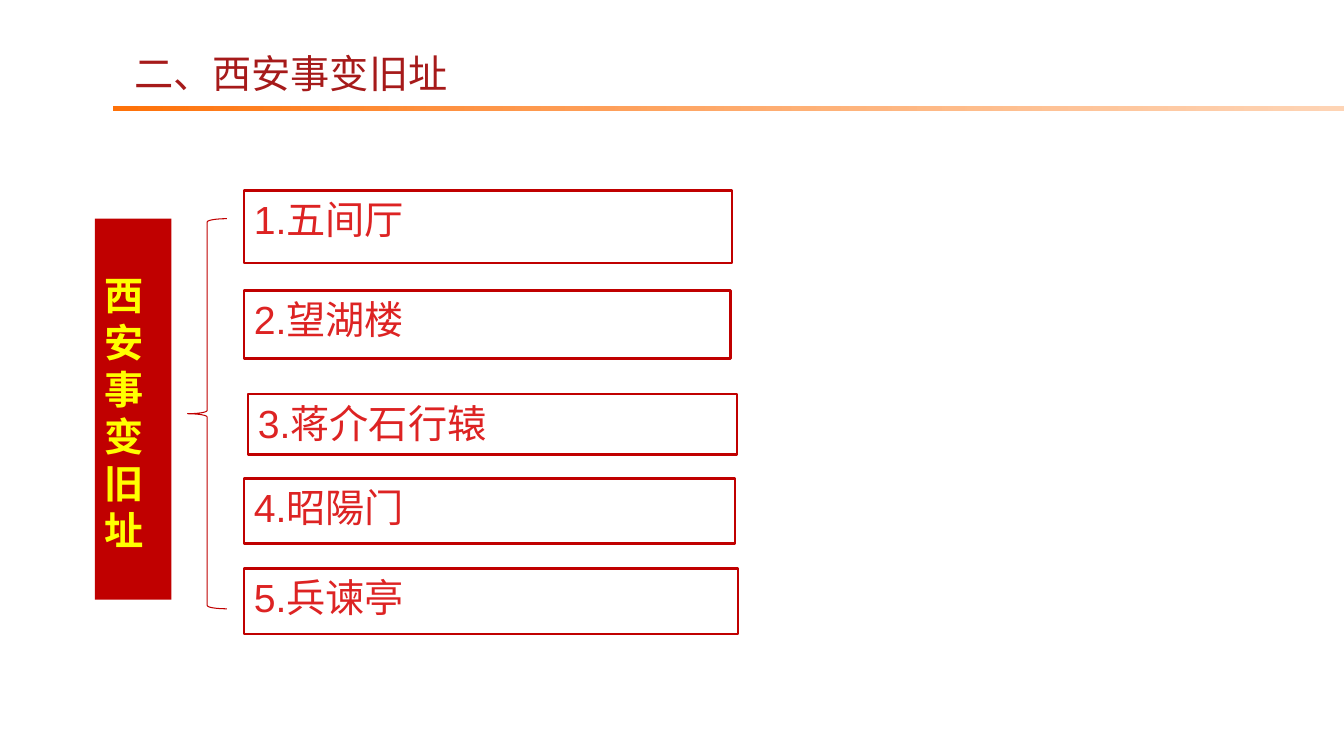
from lxml.etree import SubElement
from pptx import Presentation
from pptx.dml.color import RGBColor
from pptx.enum.shapes import MSO_SHAPE as Preset
from pptx.enum.text import MSO_ANCHOR as Anchor, PP_ALIGN as Align
from pptx.oxml.ns import qn
from pptx.util import Inches, Pt

RED = "C00000"
CJK_FONT = "Noto Sans CJK SC"
SITES = [
    ("五间厅", 2.42, 1.89, 4.84, 0.72),
    ("望湖楼", 2.42, 2.88, 4.83, 0.68),
    ("蒋介石行辕", 2.46, 3.91, 4.85, 0.6),
    ("昭陽门", 2.42, 4.75, 4.87, 0.64),
    ("兵谏亭", 2.42, 5.64, 4.9, 0.65),
]


def color(value):
    """Turn a hex string into a colour."""
    return RGBColor.from_string(value)


def write_text(shape, text, ink, font="Arial", bold=False, anchor=Anchor.TOP, top=0.05):
    """Put one left-aligned paragraph into a shape."""
    frame = shape.text_frame
    frame.word_wrap = True
    frame.vertical_anchor = anchor
    frame.margin_left = frame.margin_right = Inches(0.1)
    frame.margin_top, frame.margin_bottom = Inches(top), Inches(0.05)
    paragraph = frame.paragraphs[0]
    paragraph.alignment = Align.LEFT
    run = paragraph.add_run()
    run.text = text
    run.font.size = Pt(28)
    run.font.bold = bold
    run.font.name = font
    run.font.color.rgb = color(ink)
    SubElement(run.font._element, qn("a:ea"), typeface=CJK_FONT)


def add_preset(slide, preset, left, top, width, height, fill=None, line=None, weight=1):
    """Add a flat preset shape with optional fill and outline."""
    box = [Inches(length) for length in (left, top, width, height)]
    shape = slide.shapes.add_shape(preset, *box)
    shape.shadow.inherit = False
    if fill:
        shape.fill.solid()
        shape.fill.fore_color.rgb = color(fill)
    else:
        shape.fill.background()
    if line:
        shape.line.color.rgb = color(line)
        shape.line.width = Pt(weight)
    else:
        shape.line.fill.background()
    return shape


def add_title(slide, text):
    """Place and format the slide title."""
    title = slide.shapes.title
    title.left, title.top = Inches(1.23), Inches(0.45)
    title.width, title.height = Inches(11.33), Inches(0.54)
    write_text(title, text, "A61A1A", anchor=Anchor.MIDDLE)


def add_title_rule(slide):
    """Draw the fading orange rule below the title."""
    rule = add_preset(slide, Preset.RECTANGLE, 1.13, 1.06, 12.2, 0.04)
    rule.fill.gradient()
    rule.fill.gradient_angle = 0
    start, end = rule.fill.gradient_stops
    start.position, end.position = 0, 1
    start.color.rgb = color("FF7209")
    end.color.rgb = color("FFAA6B")
    end_color = rule._element.spPr.findall(".//" + qn("a:srgbClr"))[-1]
    SubElement(end_color, qn("a:alpha"), val="50000")


def main():
    """Build and save the slide."""
    presentation = Presentation()
    presentation.slide_width = Inches(13.33)
    presentation.slide_height = Inches(7.5)
    slide = presentation.slides.add_slide(presentation.slide_layouts[5])
    add_title(slide, "二、西安事变旧址")
    add_title_rule(slide)
    banner = add_preset(slide, Preset.RECTANGLE, 0.94, 2.17, 0.76, 3.78, fill=RED)
    write_text(banner, "西安事变旧址", "FFFF00", font=CJK_FONT, bold=True, top=0.52)
    add_preset(slide, Preset.LEFT_BRACE, 1.86, 2.17, 0.39, 3.87, line=RED, weight=0.75)
    for number, (name, *box) in enumerate(SITES, start=1):
        card = add_preset(slide, Preset.RECTANGLE, *box, fill="FFFFFF", line=RED, weight=2)
        write_text(card, f"{number}.{name}", "DD2323")
    presentation.save("out.pptx")


if __name__ == "__main__":
    main()
